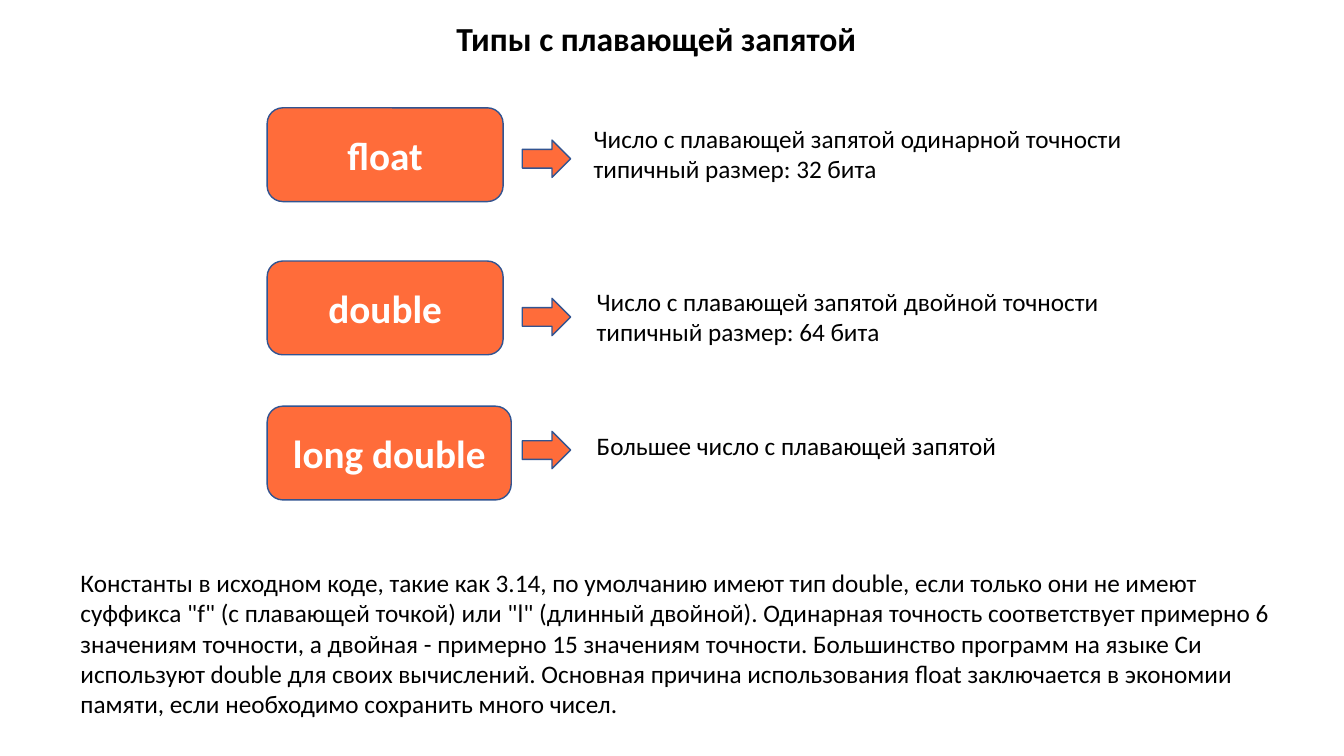
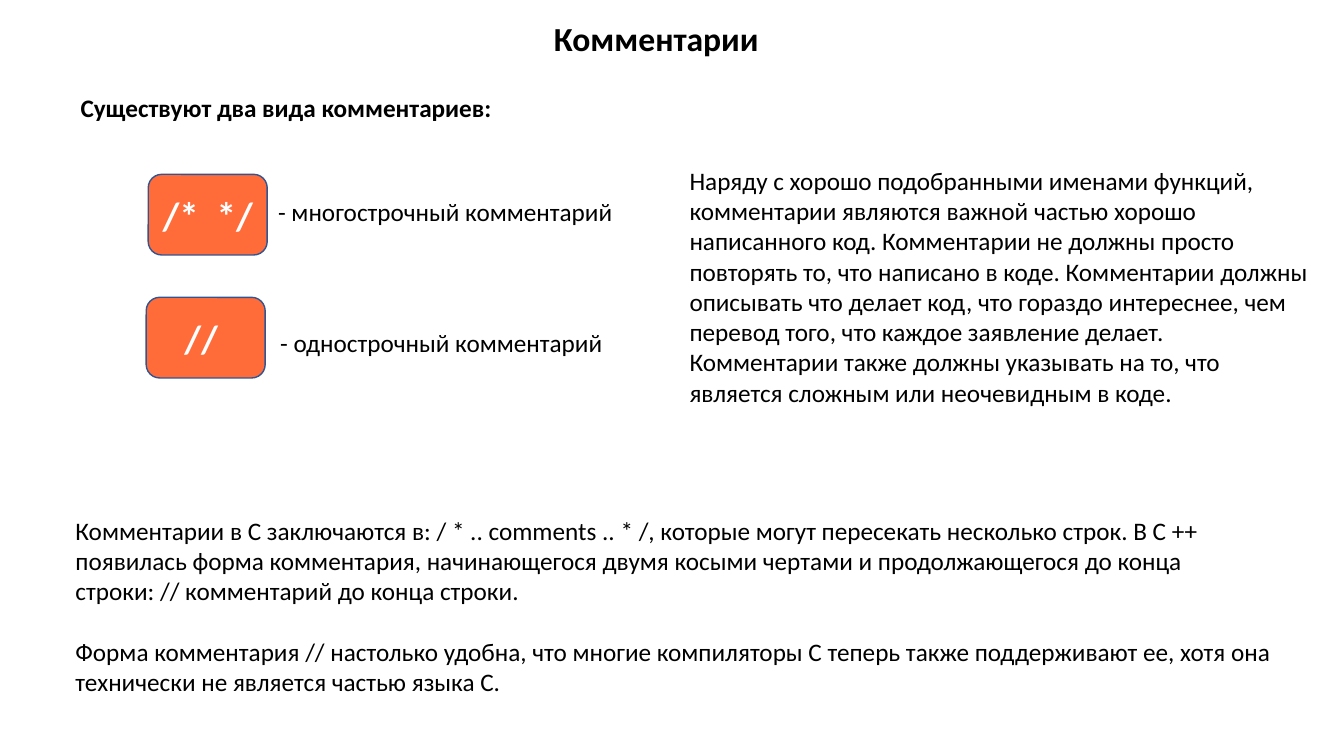
from pptx import Presentation
from pptx import util as u
from pptx.dml.color import RGBColor
from pptx.enum import shapes, text

In = u.Inches


def rgb(color):
    return RGBColor.from_string(color)


class Deck:
    """Shared style and the slide being built."""
    FONT = "Calibri"
    INK, WHITE = "000000", "FFFFFF"
    FILL, LINE = "FF6C3A", "325491"
    TITLE_SIZE, LABEL_SIZE, TEXT_SIZE = 24, 28, 18

    def __init__(self):
        self.prs = Presentation()
        self.prs.slide_width, self.prs.slide_height = In(13.33), In(7.5)

    def fill_text(self, tf, paragraphs, size, color=INK, bold=False, align=None, gap=0):
        tf.word_wrap = True
        tf.auto_size = text.MSO_AUTO_SIZE.NONE
        for i, line in enumerate(paragraphs):
            p = tf.add_paragraph() if i else tf.paragraphs[0]
            p.text = line
            p.alignment = align
            p.font.name, p.font.size, p.font.bold = self.FONT, u.Pt(size), bold
            p.font.color.rgb = rgb(color)
            if i and gap:
                p.space_before = u.Pt(gap)

    def slide(self, title):
        self.s = self.prs.slides.add_slide(self.prs.slide_layouts[5])
        sp = self.s.shapes.title
        sp.left, sp.top, sp.width, sp.height = In(1.95), In(0.13), In(9.12), In(0.5)
        sp.text_frame.vertical_anchor = text.MSO_ANCHOR.TOP
        self.fill_text(sp.text_frame, [title], self.TITLE_SIZE, bold=True,
                       align=text.PP_ALIGN.CENTER)

    def text(self, x, y, w, h, *paragraphs, bold=False, gap=0):
        sp = self.s.shapes.add_textbox(In(x), In(y), In(w), In(h))
        self.fill_text(sp.text_frame, paragraphs, self.TEXT_SIZE, bold=bold, gap=gap)

    def shape(self, kind, x, y, w, h):
        sp = self.s.shapes.add_shape(kind, In(x), In(y), In(w), In(h))
        sp.shadow.inherit = False
        sp.fill.solid()
        sp.fill.fore_color.rgb = rgb(self.FILL)
        sp.line.color.rgb = rgb(self.LINE)
        sp.line.width = u.Pt(1)
        return sp

    def label(self, x, y, w, h, caption):
        sp = self.shape(shapes.MSO_SHAPE.ROUNDED_RECTANGLE, x, y, w, h)
        sp.text_frame.vertical_anchor = text.MSO_ANCHOR.MIDDLE
        self.fill_text(sp.text_frame, [caption], self.LABEL_SIZE, self.WHITE, True,
                       text.PP_ALIGN.CENTER)

    def arrow(self, x, y):
        self.shape(shapes.MSO_SHAPE.RIGHT_ARROW, x, y, 0.48, 0.37)


def float_types(d):
    d.slide("Типы с плавающей запятой")

    # Type name, arrow, description
    rows = [
        ("float", 1.07, 2.34, 1.39, 5.79, 1.17,
         ["Число с плавающей запятой одинарной точности", "типичный размер: 32 бита"]),
        ("double", 2.59, 2.34, 2.96, 5.82, 2.79,
         ["Число с плавающей запятой двойной точности", "типичный размер: 64 бита"]),
        ("long double", 4.03, 2.42, 4.28, 5.82, 4.22,
         ["Большее число с плавающей запятой"]),
    ]
    for name, label_y, label_w, arrow_y, text_x, text_y, lines in rows:
        d.label(2.65, label_y, label_w, 0.93, name)
        d.arrow(5.18, arrow_y)
        d.text(text_x, text_y, 5.45, 0.1 + 0.3 * len(lines), *lines)

    # Explanation
    d.text(0.7, 5.58, 12.24, 1.92,
           'Константы в исходном коде, такие как 3.14, по умолчанию имеют тип double, '
           'если только они не имеют суффикса "f" (с плавающей точкой) или "l" '
           '(длинный двойной). Одинарная точность соответствует примерно 6 значениям '
           'точности, а двойная - примерно 15 значениям точности. Большинство программ '
           'на языке Си используют double для своих вычислений. Основная причина '
           'использования float заключается в экономии памяти, если необходимо '
           'сохранить много чисел.')


def comments(d):
    d.slide("Комментарии")
    d.text(0.7, 0.87, 6.18, 0.4, "Существуют два вида комментариев:", bold=True)

    # Kinds of comment
    kinds = [
        ("/*  */", 1.47, 1.73, 2.66, 1.9, "- многострочный комментарий"),
        ("// ", 1.45, 2.95, 2.68, 3.2, "- однострочный комментарий"),
    ]
    for mark, label_x, label_y, text_x, text_y, meaning in kinds:
        d.label(label_x, label_y, 1.18, 0.8, mark)
        d.text(text_x, text_y, 3.68, 0.4, meaning)

    # Advice on the right
    d.text(6.74, 1.59, 6.42, 2.52,
           "Наряду с хорошо подобранными именами функций, комментарии являются важной "
           "частью хорошо написанного код. Комментарии не должны просто повторять то, "
           "что написано в коде. Комментарии должны описывать что делает код, что "
           "гораздо интереснее, чем перевод того, что каждое заявление делает. "
           "Комментарии также должны указывать на то, что является сложным или "
           "неочевидным в коде.")

    # Syntax notes
    d.text(0.65, 5.06, 12.24, 2.22,
           "Комментарии в C заключаются в: / * .. comments .. * /, которые могут "
           "пересекать несколько строк. В C ++ появилась форма комментария, "
           "начинающегося двумя косыми чертами и продолжающегося до конца строки: "
           "// комментарий до конца строки.",
           "Форма комментария // настолько удобна, что многие компиляторы C теперь "
           "также поддерживают ее, хотя она технически не является частью языка C.",
           gap=22)


def main():
    d = Deck()
    float_types(d)
    comments(d)
    d.prs.save("out.pptx")


if __name__ == "__main__":
    main()
